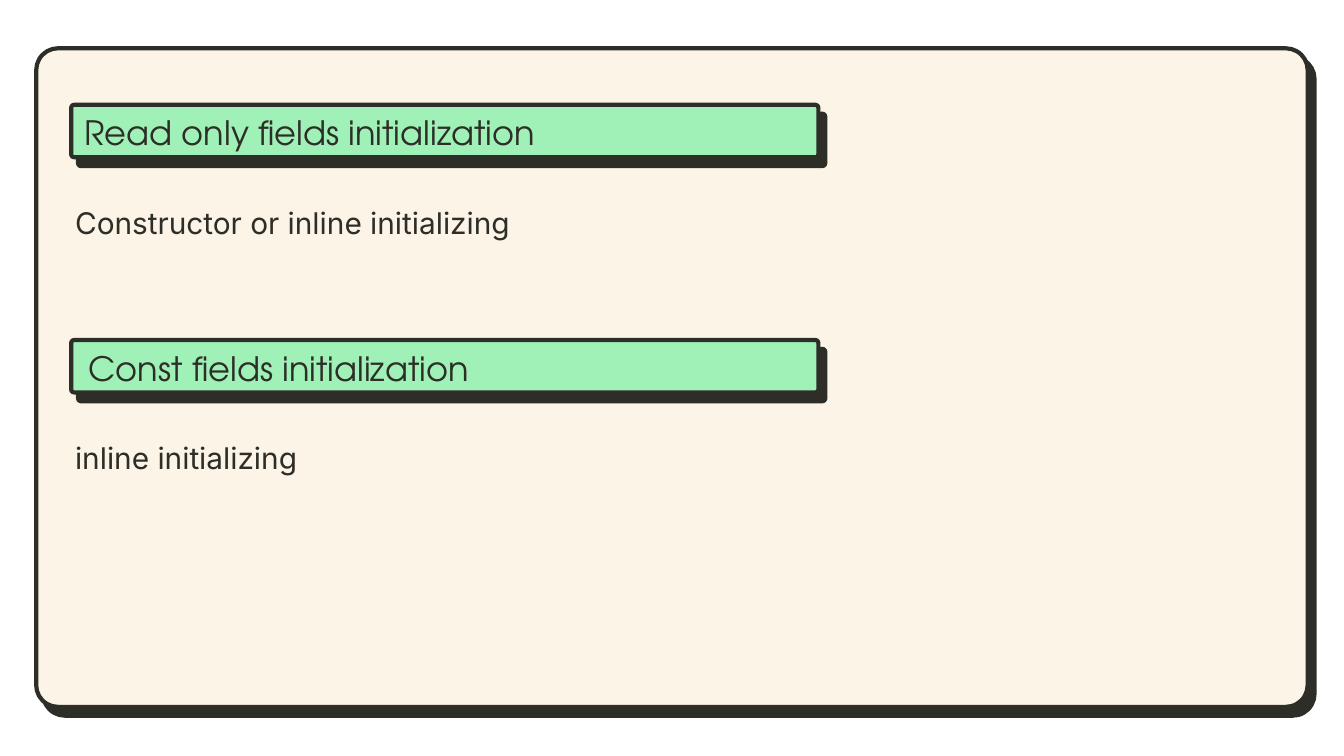
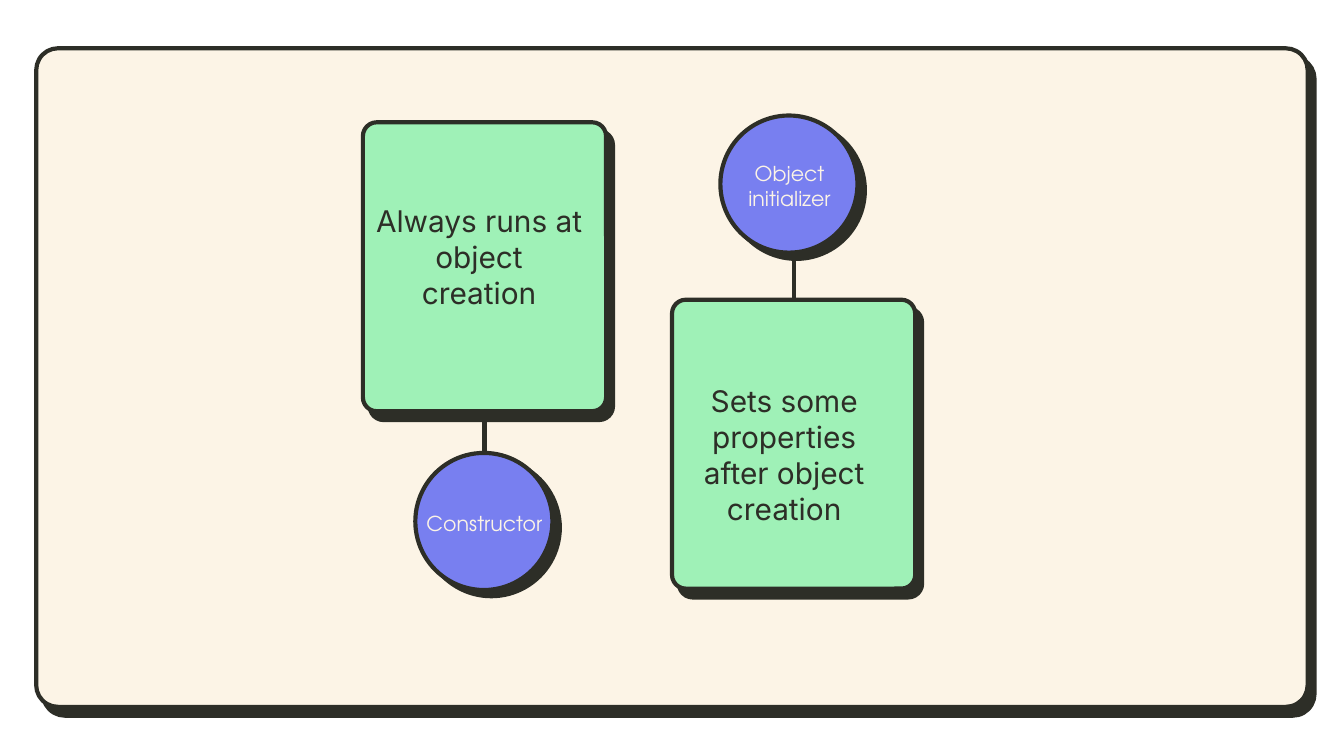
from lxml import etree
from pptx import Presentation
from pptx.dml.color import RGBColor
from pptx.enum.shapes import MSO_CONNECTOR, MSO_SHAPE
from pptx.enum.text import MSO_ANCHOR, PP_ALIGN
from pptx.oxml.ns import qn
from pptx.util import Inches, Pt

ROUNDED = MSO_SHAPE.ROUNDED_RECTANGLE
OVAL = MSO_SHAPE.OVAL
STRAIGHT = MSO_CONNECTOR.STRAIGHT
TOP, MIDDLE = MSO_ANCHOR.TOP, MSO_ANCHOR.MIDDLE
LEFT, CENTER = PP_ALIGN.LEFT, PP_ALIGN.CENTER
TOP_SIDE, BOTTOM_SIDE = 0, 2

# Shared look
INK, CREAM, GREEN, VIOLET = "2D2E27", "FCF4E6", "9FF1B7", "787FF0"
OUTLINE = 2.25
CARD_WIDTH, CARD_HEIGHT = 1.81, 2.15
CIRCLE = 1.02
HEADING = {"name": "TeX Gyre Adventor", "size": Pt(18)}
BODY = {"name": "Inter", "size": Pt(16)}
LABEL = {"name": "TeX Gyre Adventor", "size": Pt(11)}


def color(value):
    return RGBColor.from_string(value)


def set_line(shape):
    shape.line.color.rgb = color(INK)
    shape.line.width = Pt(OUTLINE)


def add_hard_shadow(shape, distance, angle):
    """Give the shape a solid, unblurred shadow."""
    shape.shadow.inherit = False
    effects = shape._element.spPr.find(qn("a:effectLst"))
    shadow = etree.SubElement(
        effects, qn("a:outerShdw"), blurRad="0", dist=str(Pt(distance)),
        dir=str(angle * 60000), algn="bl", rotWithShape="0")
    etree.SubElement(shadow, qn("a:srgbClr"), val=INK)


def add_block(page, kind, at, fill, corner=None, shadow=(6, 52)):
    shape = page.shapes.add_shape(kind, *map(Inches, at))
    if corner is not None:
        shape.adjustments[0] = corner
    shape.fill.solid()
    shape.fill.fore_color.rgb = color(fill)
    set_line(shape)
    add_hard_shadow(shape, *shadow)
    return shape


def add_text(page, at, lines, font, ink=INK, anchor=TOP, align=LEFT):
    box = page.shapes.add_textbox(*map(Inches, at))
    frame = box.text_frame
    frame.word_wrap = True
    frame.vertical_anchor = anchor
    for side in ("left", "top", "right", "bottom"):
        setattr(frame, f"margin_{side}", Inches(0.1))
    for index, line in enumerate(lines):
        para = frame.add_paragraph() if index else frame.paragraphs[0]
        para.alignment = align
        span = para.add_run()
        span.text = line
        for key, value in font.items():
            setattr(span.font, key, value)
        span.font.color.rgb = color(ink)


def add_link(page, card, side, end_y):
    """Draw a vertical line from the middle of a card's side."""
    x = card.left + card.width // 2
    y = card.top if side == TOP_SIDE else card.top + card.height
    link = page.shapes.add_connector(STRAIGHT, x, y, x, Inches(end_y))
    link.begin_connect(card, side)
    set_line(link)
    etree.SubElement(link._element.spPr, qn("a:effectLst"))


def add_page(deck):
    page = deck.slides.add_slide(deck.slide_layouts[6])
    add_block(page, ROUNDED, (0.27, 0.36, 9.46, 4.9), CREAM, 0.033)
    return page


def add_section(page, top, heading, heading_at, body):
    """Heading bar with one line of text below it."""
    add_block(page, ROUNDED, (0.53, top, 5.56, 0.39), GREEN, 0.057)
    add_text(page, (*heading_at, 5.49, 0.38), [heading], HEADING, anchor=MIDDLE)
    add_text(page, (0.46, top + 0.64, 3.92, 0.56), [body], BODY)


def add_card(page, left, top, text_at, lines):
    at = (left, top, CARD_WIDTH, CARD_HEIGHT)
    card = add_block(page, ROUNDED, at, GREEN, 0.057)
    add_text(page, (*text_at, 1.81, 1.19), lines, BODY, align=CENTER)
    return card


def add_circle(page, left, top, label_left, lines):
    add_block(page, OVAL, (left, top, CIRCLE, CIRCLE), VIOLET, shadow=(5.2, 40))
    add_text(page, (label_left, top + 0.33, 1.75, 0.38), lines, LABEL,
             ink=CREAM, anchor=MIDDLE, align=CENTER)


def build_fields_page(deck):
    page = add_page(deck)
    add_section(page, 0.78, "Read only fields initialization", (0.53, 0.79),
                "Constructor or inline initializing")
    add_section(page, 2.53, "Const fields initialization", (0.56, 2.55),
                "inline initializing")


def build_creation_page(deck):
    page = add_page(deck)

    # Constructor: card above, circle below
    card = add_card(page, 2.7, 0.91, (2.66, 1.41),
                    ["Always runs at object", "creation"])
    add_link(page, card, BOTTOM_SIDE, 3.37)
    add_circle(page, 3.09, 3.37, 2.73, ["Constructor"])

    # Object initializer: circle above, card below
    card = add_card(page, 5, 2.23, (4.93, 2.75),
                    ["Sets some properties after object creation"])
    add_link(page, card, TOP_SIDE, 1.92)
    add_circle(page, 5.36, 0.86, 5, ["Object", "initializer"])


def main():
    deck = Presentation()
    deck.slide_width = Inches(10)
    deck.slide_height = deck.slide_width * 9 // 16
    build_fields_page(deck)
    build_creation_page(deck)
    deck.save("out.pptx")


if __name__ == "__main__":
    main()
